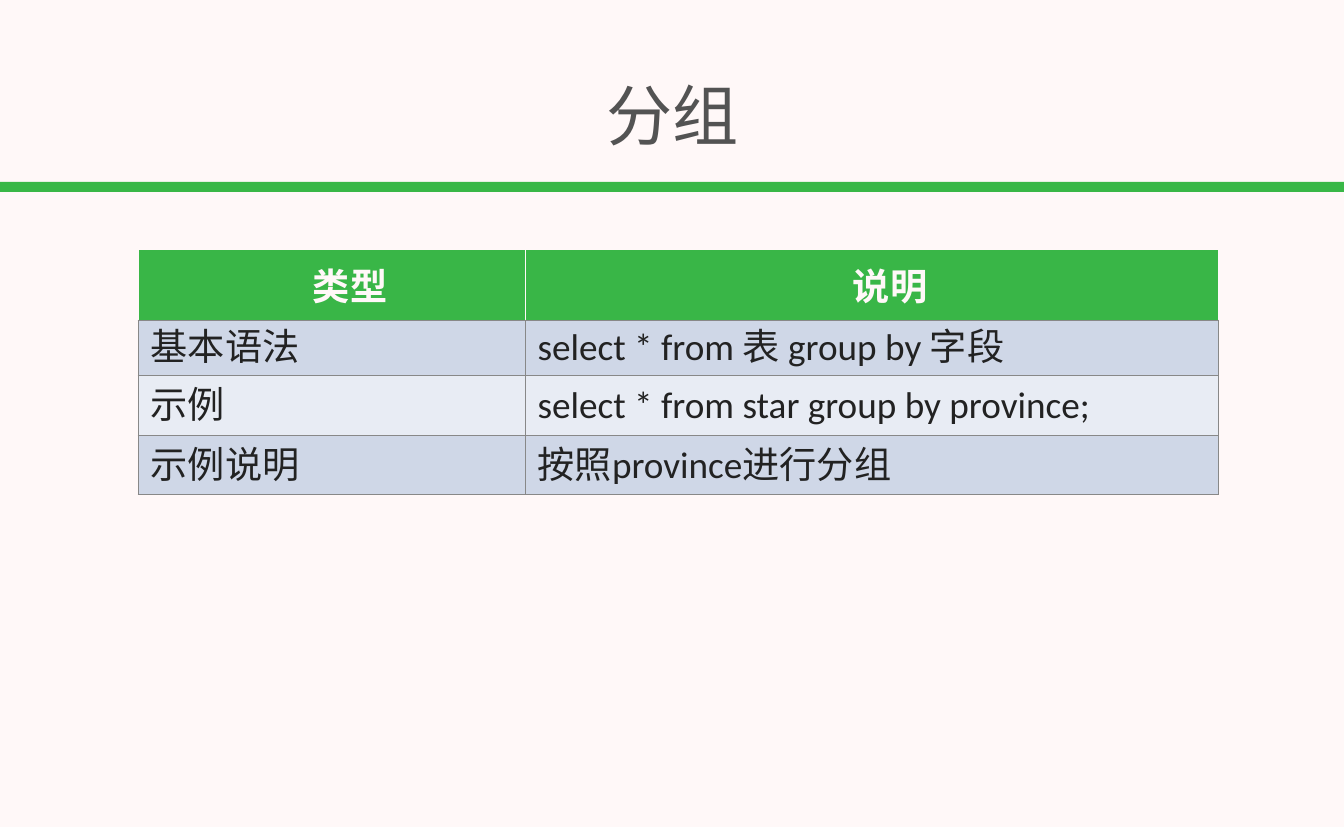
from pptx import Presentation
from pptx import util as u
from pptx.dml.color import RGBColor
from pptx.enum import shapes, text
from pptx.oxml import parse_xml
from pptx.oxml.ns import nsdecls

PAPER = RGBColor(0xFF, 0xF8, 0xF8)
RULE_GREEN = RGBColor(0x39, 0xB7, 0x47)
HEAD_GREEN = RGBColor(0x39, 0xB6, 0x47)
TITLE_GREY = RGBColor(0x53, 0x53, 0x53)
INK = RGBColor(0x22, 0x22, 0x22)
BORDER_GREY = RGBColor(0x88, 0x88, 0x88)
BANDS = RGBColor(0xCF, 0xD7, 0xE7), RGBColor(0xE8, 0xEC, 0xF4)

WIDTH, HEIGHT = 1344, 827
PIXELS_PER_INCH = 74.4


def px(pixels):
    return u.Inches(pixels / PIXELS_PER_INCH)


def set_format(target, values):
    for name, value in values.items():
        setattr(target, name, value)


class Page:
    """Holds the style and the current slide."""

    font = "Calibri"

    def __init__(self, deck):
        self.slide = deck.slides.add_slide(deck.slide_layouts[5])
        fill = self.slide.background.fill
        fill.solid()
        fill.fore_color.rgb = PAPER

    def put_text(self, frame, words, size, color, bold=False, **layout):
        frame.text = words
        para = frame.paragraphs[0]
        set_format(para, layout)
        span = para.runs[0]
        set_format(span.font, dict(name=self.font, size=u.Pt(size), bold=bold))
        span.font.color.rgb = color
        return para

    def title(self, words, left, top, width, height):
        box = self.slide.shapes.title
        set_format(box, dict(left=px(left), top=px(top), width=px(width), height=px(height)))
        inset = u.Inches(0.05)
        set_format(box.text_frame, dict(
            margin_left=inset, margin_right=inset, margin_top=inset, margin_bottom=inset,
            vertical_anchor=text.MSO_ANCHOR.MIDDLE, auto_size=text.MSO_AUTO_SIZE.NONE))
        self.put_text(box.text_frame, words, 64, TITLE_GREY, alignment=text.PP_ALIGN.CENTER)

    def bar(self, left, top, width, height, color):
        bar = self.slide.shapes.add_shape(
            shapes.MSO_SHAPE.RECTANGLE, px(left), px(top), px(width), px(height))
        bar.shadow.inherit = False
        bar.fill.solid()
        bar.fill.fore_color.rgb = color
        bar.line.fill.background()

    def borders(self, cell, **sides):
        properties = cell._tc.get_or_add_tcPr()
        for index, (side, color) in enumerate(sides.items()):
            properties.insert(index, parse_xml(
                f'<a:ln{side} {nsdecls("a")} w="{u.Pt(1)}"><a:solidFill>'
                f'<a:srgbClr val="{color}"/></a:solidFill></a:ln{side}>'))

    def cell(self, cell, words, fill, header):
        side, edge = (0, 0) if header else (u.Inches(0.17), u.Inches(0.04))
        set_format(cell, dict(
            margin_left=side, margin_right=side, margin_top=edge, margin_bottom=edge,
            vertical_anchor=text.MSO_ANCHOR.MIDDLE))
        cell.fill.solid()
        cell.fill.fore_color.rgb = fill
        if header:
            para = self.put_text(cell.text_frame, words, 36, PAPER, bold=True,
                                 alignment=text.PP_ALIGN.CENTER)
            para._p.get_or_add_pPr().set("indent", str(u.Inches(0.5)))
        else:
            self.put_text(cell.text_frame, words, 36, INK, line_spacing=u.Pt(46))
        outer = PAPER if header else BORDER_GREY
        self.borders(cell, L=outer, R=outer, T=outer, B=BORDER_GREY)

    def table(self, left, top, widths, heights, rows):
        table = self.slide.shapes.add_table(
            len(rows), len(widths), px(left), px(top),
            px(sum(widths)), px(sum(heights))).table
        set_format(table, dict(first_row=False, horz_banding=False))
        for column, width in zip(table.columns, widths):
            column.width = px(width)
        for index, (row, height, words) in enumerate(zip(table.rows, heights, rows)):
            row.height = px(height)
            header = index == 0
            fill = HEAD_GREEN if header else BANDS[(index - 1) % 2]
            for cell, content in zip(row.cells, words):
                self.cell(cell, content, fill, header)


deck = Presentation()
set_format(deck, dict(slide_width=px(WIDTH), slide_height=px(HEIGHT)))
page = Page(deck)

# Heading and the rule beneath it
page.bar(0, 182, WIDTH, 10, RULE_GREEN)
page.title("分组", 4, 61, 1337, 106)

# Grouping syntax
page.table(138, 249, widths=(387, 693), heights=(71, 55, 60, 60), rows=(
    ("类型", "说明"),
    ("基本语法", "select * from 表 group by 字段"),
    ("示例", "select * from star group by province;"),
    ("示例说明", "按照province进行分组"),
))

deck.save("out.pptx")
